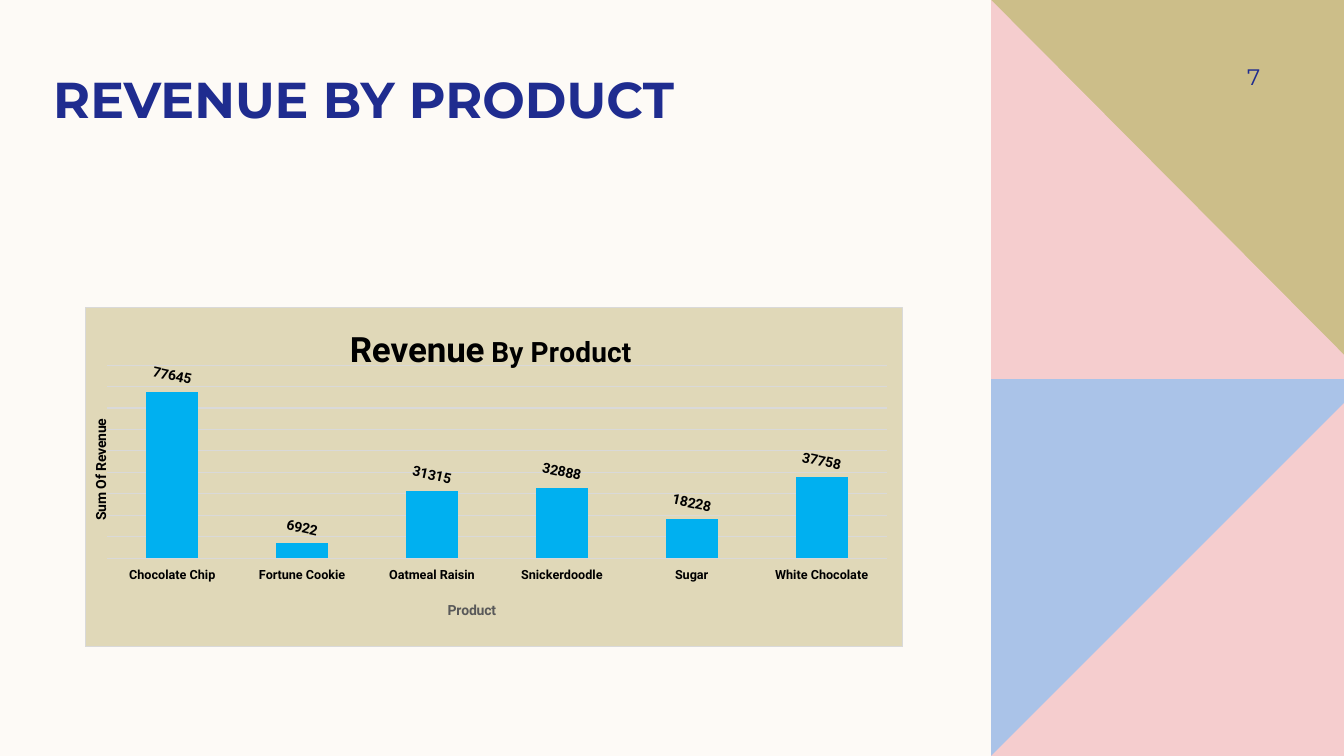
from lxml import etree
from pptx import Presentation
from pptx.chart.data import CategoryChartData
from pptx.dml.color import RGBColor
from pptx.enum.chart import XL_CHART_TYPE, XL_LABEL_POSITION, XL_TICK_LABEL_POSITION, XL_TICK_MARK
from pptx.enum.text import MSO_ANCHOR, PP_ALIGN
from pptx.oxml import parse_xml
from pptx.oxml.ns import nsdecls, qn
from pptx.util import Inches, Pt

COLUMNS = XL_CHART_TYPE.COLUMN_CLUSTERED
OUTSIDE_END = XL_LABEL_POSITION.OUTSIDE_END
LABELS_LOW = XL_TICK_LABEL_POSITION.LOW
NO_TICKS = XL_TICK_MARK.NONE
BOTTOM, MIDDLE = MSO_ANCHOR.BOTTOM, MSO_ANCHOR.MIDDLE
LEFT, RIGHT = PP_ALIGN.LEFT, PP_ALIGN.RIGHT

COLORS = {
    "cream": "FDFAF6", "navy": "1F2C8F", "blue": "AAC3E8", "pink": "F5CDCE",
    "olive": "CCBE89", "sand": "E0D8B8", "grid": "D9D9D9", "bar": "00B0F0",
    "black": "000000", "gray": "595959",
}
REVENUE = {
    "Chocolate Chip": 77645, "Fortune Cookie": 6922, "Oatmeal Raisin": 31315,
    "Snickerdoodle": 32888, "Sugar": 18228, "White Chocolate": 37758,
}
DEGREE = 60000


def rgb(name):
    return RGBColor.from_string(COLORS[name])


def place(element, index, x, y, w=None, h=None):
    """Give a chart part a manual layout in fractions of the chart."""
    for old in element.findall(qn("c:layout")):
        element.remove(old)
    layout = parse_xml(f"<c:layout {nsdecls('c')}><c:manualLayout/></c:layout>")
    entries = {"xMode": "edge", "yMode": "edge", "x": x, "y": y}
    if w is not None:
        entries = {"layoutTarget": "inner", **entries, "w": w, "h": h}
    for tag, value in entries.items():
        etree.SubElement(layout[0], qn(f"c:{tag}")).set("val", str(value))
    element.insert(index, layout)


def rotate(element, degrees):
    body = next(element.iter(qn("a:bodyPr")))
    body.set("rot", str(degrees * DEGREE))
    body.set("vert", "horz")


class RevenueSlide:
    def __init__(self, presentation):
        self.heading_font, self.chart_font = "Montserrat", "Roboto"
        self.slide = presentation.slides.add_slide(presentation.slide_layouts[6])
        background = self.slide.background.fill
        background.solid()
        background.fore_color.rgb = rgb("cream")

    def polygon(self, color, *points):
        corners = [(Inches(x), Inches(y)) for x, y in points]
        builder = self.slide.shapes.build_freeform(*corners[0])
        builder.add_line_segments(corners[1:], close=True)
        panel = builder.convert_to_shape()
        panel.shadow.inherit = False
        panel.fill.solid()
        panel.fill.fore_color.rgb = rgb(color)
        panel.line.fill.background()

    def style(self, font, size, color="black", bold=True, family=None):
        font.name = family or self.chart_font
        font.size = Pt(size)
        font.bold = bold
        font.color.rgb = rgb(color)

    def text(self, words, box, size, bold, align, anchor, insets):
        frame = self.slide.shapes.add_textbox(*map(Inches, box)).text_frame
        frame.word_wrap = True
        frame.vertical_anchor = anchor
        (frame.margin_left, frame.margin_top,
         frame.margin_right, frame.margin_bottom) = map(Inches, insets)
        paragraph = frame.paragraphs[0]
        paragraph.text = words
        paragraph.alignment = align
        self.style(paragraph.font, size, "navy", bold, self.heading_font)

    def chart_text(self, title, parts, x, y, color="black", turn=0):
        """Fill a chart or axis title with (words, size) parts at x, y."""
        paragraph = title.text_frame.paragraphs[0]
        for words, size in parts:
            run = paragraph.add_run()
            run.text = words
            self.style(run.font, size, color)
        rotate(title._element, turn)
        place(title._element, 1, x, y)

    def column_chart(self, box, values):
        data = CategoryChartData()
        data.categories = list(values)
        data.add_series("Series 1", list(values.values()))
        chart = self.slide.shapes.add_chart(COLUMNS, *map(Inches, box), data).chart
        self.style(chart.font, 10, bold=False)
        chart.has_legend = False
        chart.has_title = True
        self.chart_text(chart.chart_title, [("Revenue", 25), (" By Product", 20)], 0.32, 0.05)
        chart.chart_title.include_in_layout = True
        self.chart_area(chart)
        self.axes(chart)
        self.columns(chart.plots[0])

    def chart_area(self, chart):
        space = chart._chartSpace
        space.find(qn("c:chart")).addnext(parse_xml(
            f'<c:spPr {nsdecls("c", "a")}>'
            f'<a:solidFill><a:srgbClr val="{COLORS["sand"]}"/></a:solidFill>'
            f'<a:ln w="{Pt(0.75)}"><a:solidFill><a:srgbClr val="{COLORS["grid"]}"/>'
            '</a:solidFill></a:ln></c:spPr>'))
        place(next(space.iter(qn("c:plotArea"))), 0, 0.027, 0.169, 0.953, 0.57)

    def axes(self, chart):
        products, revenue = chart.category_axis, chart.value_axis
        products.major_tick_mark = products.minor_tick_mark = NO_TICKS
        products.tick_label_position = LABELS_LOW
        products.format.line.fill.background()
        self.style(products.tick_labels.font, 9)
        self.chart_text(products.axis_title, [("Product", 10)], 0.44, 0.86, "gray")

        revenue.minimum_scale, revenue.maximum_scale = 0, 90000
        revenue.major_unit = 10000
        grid = revenue.major_gridlines.format.line
        grid.color.rgb = rgb("grid")
        grid.width = Pt(0.75)
        self.chart_text(revenue.axis_title, [("Sum Of Revenue", 10)], 0.005, 0.32, turn=-90)
        revenue.visible = False

    def columns(self, plot):
        plot.gap_width = 150
        plot.vary_by_categories = False
        fill = plot.series[0].format.fill
        fill.solid()
        fill.fore_color.rgb = rgb("bar")
        labels = plot.series[0].data_labels
        labels.show_value = True
        labels.position = OUTSIDE_END
        self.style(labels.font, 10)
        rotate(labels._element, 12)


def main():
    presentation = Presentation()
    presentation.slide_width, presentation.slide_height = Inches(13.33), Inches(7.5)
    slide = RevenueSlide(presentation)

    left, right, middle, bottom = 9.83, 13.33, 3.76, 7.5
    slide.polygon("blue", (left, middle), (right, middle), (right, bottom), (left, bottom))
    slide.polygon("pink", (right, 4), (right, bottom), (left, bottom))
    slide.polygon("olive", (left, 0), (right, 0), (right, middle), (left, middle))
    slide.polygon("pink", (left, 0), (right, 3.52), (right, middle), (left, middle))

    slide.text("REVENUE BY PRODUCT", (0.43, 0.54, 8.53, 0.74), 36, True,
               LEFT, BOTTOM, (0.1, 0, 0.1, 0))
    slide.text("7", (11.42, 0.5, 1.08, 0.52), 16, False,
               RIGHT, MIDDLE, (0.1, 0.05, 0, 0.05))
    slide.column_chart((0.84, 3.05, 8.12, 3.37), REVENUE)
    presentation.save("out.pptx")


if __name__ == "__main__":
    main()
